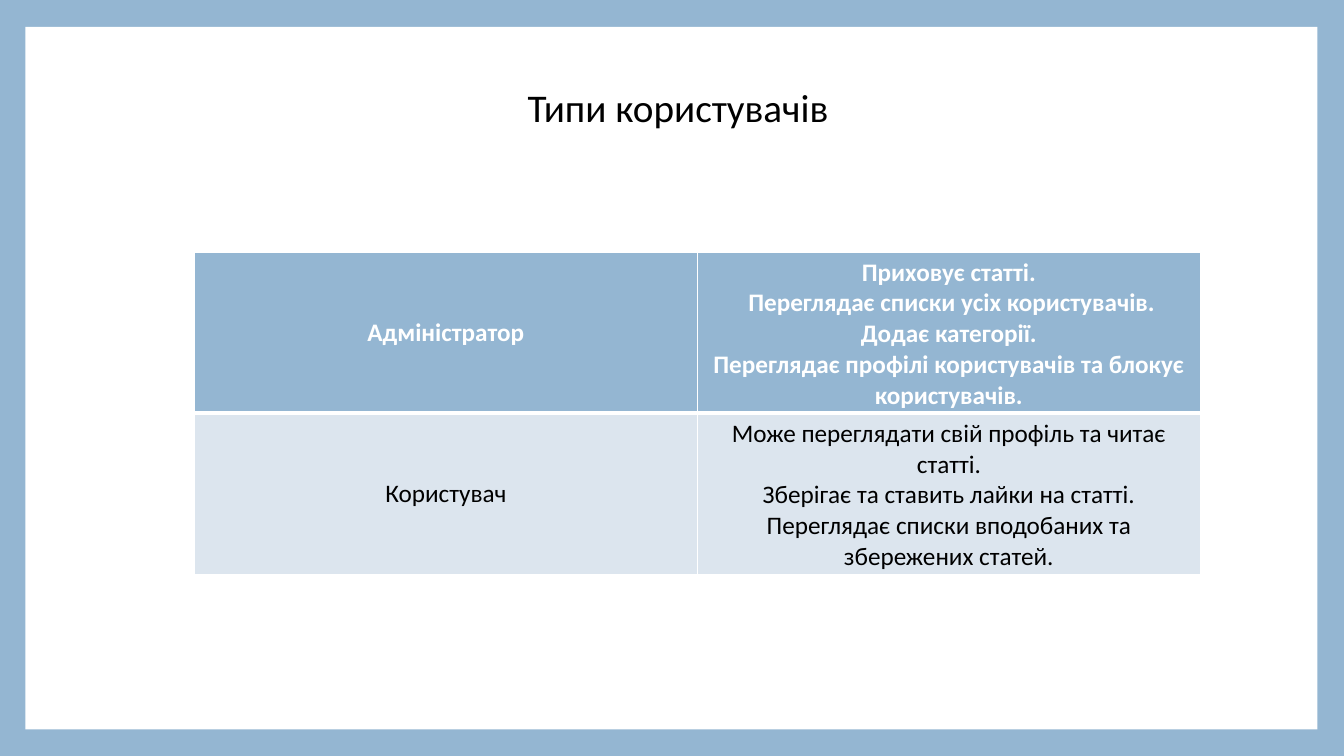
from lxml.etree import SubElement
from pptx import Presentation
from pptx.dml.color import RGBColor
from pptx.enum.shapes import MSO_SHAPE as Shape
from pptx.enum.text import MSO_ANCHOR as Anchor, PP_ALIGN as Align
from pptx.oxml.ns import qn
from pptx.util import Cm, Pt

BLUE, PALE, WHITE, BLACK = "94B6D2", "DCE5EE", "FFFFFF", "000000"


def paint(fill, color):
    """Give a fill one solid colour."""
    fill.solid()
    fill.fore_color.rgb = RGBColor.from_string(color)


def write(frame, lines, color, **font_format):
    """Write centred Calibri paragraphs into a text frame."""
    for number, line in enumerate(lines):
        para = frame.paragraphs[0] if number == 0 else frame.add_paragraph()
        para.alignment = Align.CENTER
        span = para.add_run()
        span.text = line
        for name, value in {"name": "Calibri", **font_format}.items():
            setattr(span.font, name, value)
        paint(span.font.fill, color)


deck = Presentation()
deck.slide_width, deck.slide_height = Cm(33.87), Cm(19.05)
page = deck.slides.add_slide(deck.slide_layouts[6])
paint(page.background.fill, BLUE)

# White sheet inside the blue frame
sheet = page.shapes.add_shape(Shape.RECTANGLE, Cm(0.64), Cm(0.68), Cm(32.56), Cm(17.7))
sheet.shadow.inherit = False
sheet.line.fill.background()
paint(sheet.fill, WHITE)

title = page.shapes.add_textbox(Cm(11.75), Cm(1.98), Cm(10.67), Cm(1.45))
title.text_frame.word_wrap = True
write(title.text_frame, ["Типи користувачів"], BLACK, size=Pt(28))

# Each user type: name, abilities, fill, text colour, bold, borders in points
user_types = [
    ("Адміністратор",
     ["Приховує статті.",
      " Переглядає списки усіх користувачів.",
      "Додає категорії.",
      "Переглядає профілі користувачів та блокує користувачів."],
     BLUE, WHITE, True, {"L": 1, "R": 1, "T": 1, "B": 3}),
    ("Користувач",
     ["Може переглядати свій профіль та читає статті.",
      "Зберігає та ставить лайки на статті.",
      "Переглядає списки вподобаних та збережених статей."],
     PALE, BLACK, False, {"L": 1, "R": 1, "T": 3, "B": 1}),
]

table = page.shapes.add_table(len(user_types), 2, Cm(4.9), Cm(6.35), Cm(25.35), Cm(8.13)).table
for row, (user, abilities, fill, color, bold, borders) in enumerate(user_types):
    for column, lines in enumerate([[user], abilities]):
        cell = table.cell(row, column)
        cell.vertical_anchor = Anchor.MIDDLE if column == 0 else Anchor.TOP
        write(cell.text_frame, lines, color, size=Pt(18), bold=bold)
        properties = cell._tc.get_or_add_tcPr()
        for side, points in borders.items():
            border = SubElement(properties, qn(f"a:ln{side}"), w=str(Pt(points)))
            solid = SubElement(border, qn("a:solidFill"))
            SubElement(solid, qn("a:srgbClr"), val=WHITE)
        paint(cell.fill, fill)

deck.save("out.pptx")
